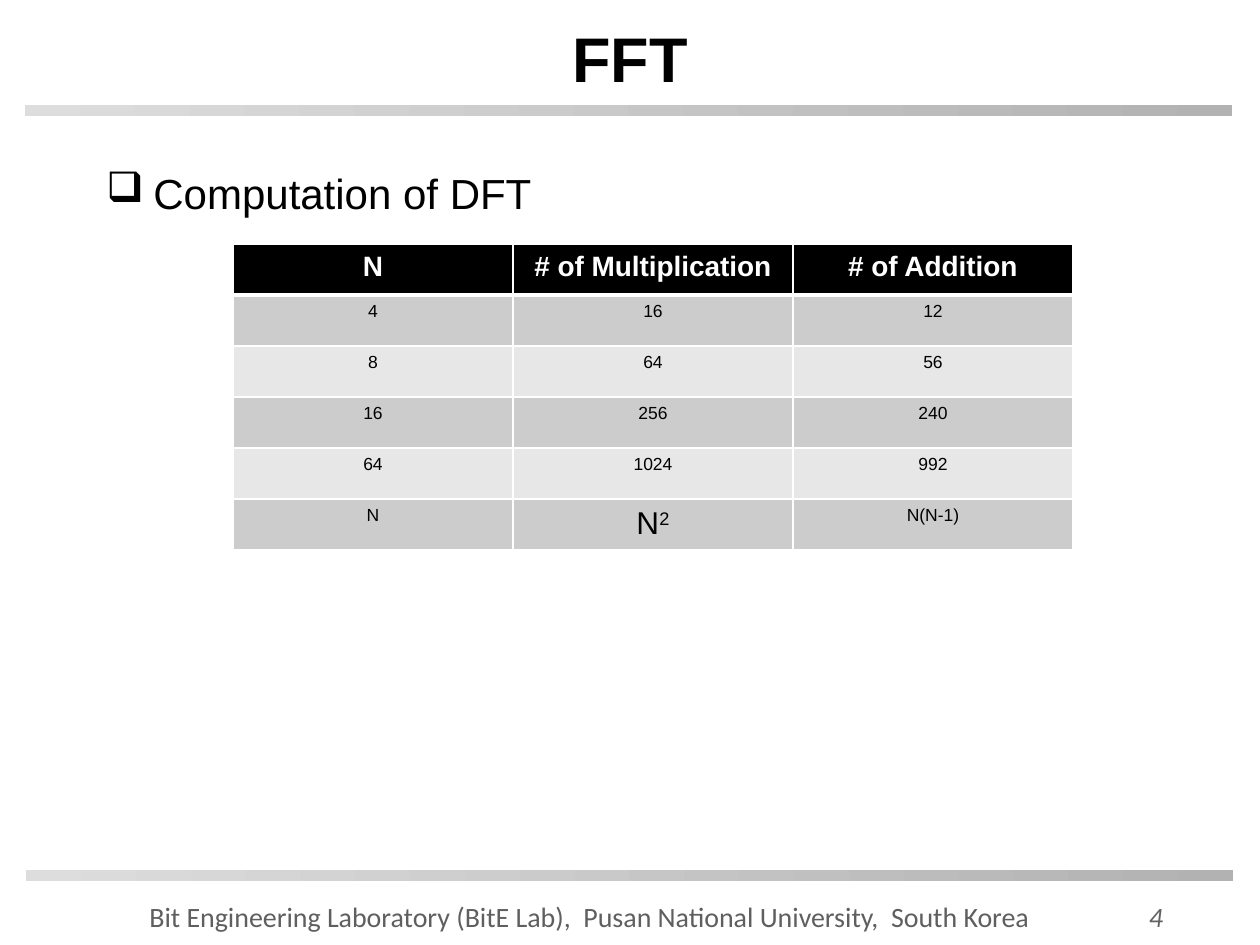
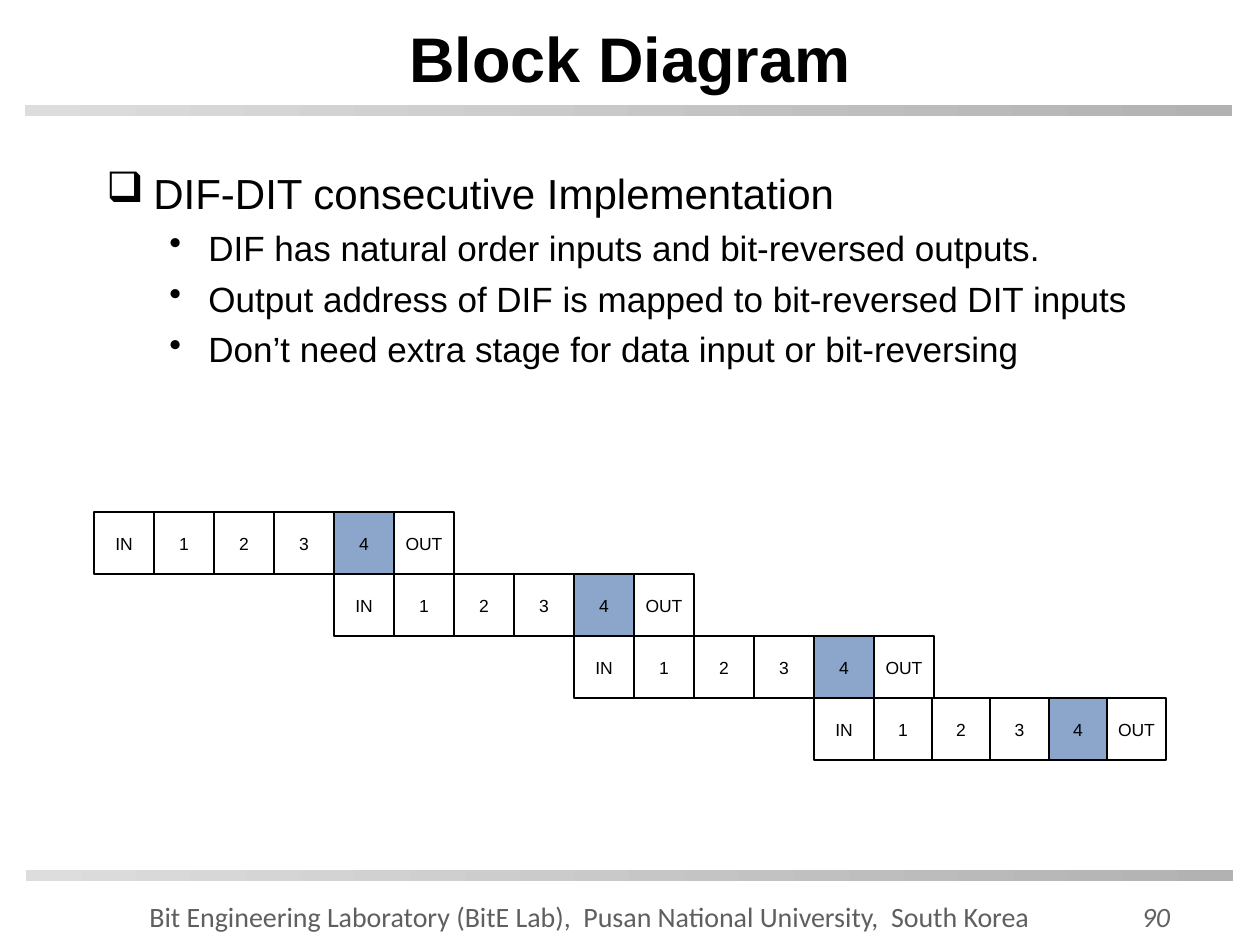
from dataclasses import dataclass
from lxml.etree import SubElement
from pptx import Presentation
from pptx.dml.color import RGBColor
from pptx.enum.shapes import MSO_SHAPE
from pptx.enum.text import MSO_ANCHOR, PP_ALIGN
from pptx.oxml.ns import qn
from pptx.util import Emu, Pt


@dataclass(frozen=True)
class Theme:
    black: str = "000000"
    white: str = "FFFFFF"
    band_start: str = "DDDDDD"
    band_end: str = "B2B2B2"
    footer: str = "5F5F5F"
    number: str = "626262"
    row_dark: str = "CCCCCC"
    row_light: str = "E7E7E7"
    overlap: str = "8BA5CB"
    font: str = "Arial"
    footer_font: str = "Calibri"
    title_size: int = 36
    body_size: int = 24
    sub_size: int = 20
    formula_size: int = 18
    footer_size: int = 16
    head_size: int = 16
    small_size: int = 10


theme = Theme()


def px(n):
    return Emu(round(n * 914400 / 126))


def write(p, text, size, color=theme.black, font=theme.font, bold=False, italic=False):
    r = p.add_run()
    r.text = text
    r.font.size = Pt(size)
    r.font.name = font
    r.font.bold = bold
    r.font.italic = italic
    r.font.color.rgb = RGBColor.from_string(color)
    return r


prs = Presentation()
prs.slide_width, prs.slide_height = px(1260), px(945)

pages = [
    ("FFT", "4", ["Computation of DFT"]),
    ("Block Diagram", "90", [
        "DIF-DIT consecutive Implementation",
        "DIF has natural order inputs and bit-reversed outputs.",
        "Output address of DIF is mapped to bit-reversed DIT inputs",
        "Don’t need extra stage for data input or bit-reversing",
    ]),
]
footer = "Bit Engineering Laboratory (BitE Lab),  Pusan National University,  South Korea"

for title, number, lines in pages:
    s = prs.slides.add_slide(prs.slide_layouts[6])
    for x, y in [(26, 870), (25, 105)]:
        sp = s.shapes.add_shape(MSO_SHAPE.RECTANGLE, px(x), px(y), px(1207), px(11))
        sp.shadow.inherit = False
        sp.line.fill.background()
        sp.fill.gradient()
        sp.fill.gradient_angle = 0
        for stop, color in zip(sp.fill.gradient_stops, (theme.band_start, theme.band_end)):
            stop.color.rgb = RGBColor.from_string(color)

    for x, y, w, h, text, color, align in [
        (137, 892, 917, 48, footer, theme.footer, PP_ALIGN.LEFT),
        (1079, 893, 154, 46, number, theme.number, PP_ALIGN.CENTER),
    ]:
        tf = s.shapes.add_textbox(px(x), px(y), px(w), px(h)).text_frame
        tf.word_wrap = True
        tf.vertical_anchor = MSO_ANCHOR.MIDDLE
        tf.margin_top = px(6) + Pt(theme.footer_size / 2)
        p = tf.paragraphs[0]
        p.alignment = align
        p.line_spacing = 0.5
        write(p, text, theme.footer_size, color, theme.footer_font, italic=text == number)

    tf = s.shapes.add_textbox(px(42), px(8), px(1176), px(98)).text_frame
    tf.word_wrap = True
    tf.vertical_anchor = MSO_ANCHOR.MIDDLE
    p = tf.paragraphs[0]
    p.alignment = PP_ALIGN.CENTER
    write(p, title, theme.title_size, bold=True)

    tf = s.shapes.add_textbox(px(94), px(161), px(1072), px(657)).text_frame
    tf.word_wrap = True
    for i, line in enumerate(lines):
        p = tf.paragraphs[0] if i == 0 else tf.add_paragraph()
        left, hang, mark, size = (102, 39, "•", theme.sub_size) if i else (47, 47, "❑", theme.body_size)
        pPr = p._p.get_or_add_pPr()
        pPr.set("marL", str(px(left)))
        pPr.set("indent", str(px(-hang)))
        SubElement(pPr, qn("a:buChar")).set("char", mark)
        if i:
            p.level = 1
            p.space_before = Pt(5)
        write(p, line, size)

fft, diagram = prs.slides

costs = [
    ["N", "# of Multiplication", "# of Addition"],
    ["4", "16", "12"],
    ["8", "64", "56"],
    ["16", "256", "240"],
    ["64", "1024", "992"],
    ["N", "N²", "N(N-1)"],
]
table = fft.shapes.add_table(6, 3, px(233), px(244), px(840), px(306)).table
for col in table.columns:
    col.width = px(280)
for i, row in enumerate(costs):
    table.rows[i].height = px(51)
    for j, text in enumerate(row):
        cell = table.cell(i, j)
        size = theme.head_size if i == 0 else theme.small_size
        fill = theme.black if i == 0 else theme.row_dark if i % 2 else theme.row_light
        power = text.endswith("²")
        if power:
            size = theme.formula_size
        cell.margin_top = px(6) + Pt(size / 2)
        p = cell.text_frame.paragraphs[0]
        p.alignment = PP_ALIGN.CENTER
        p.line_spacing = 0.5
        write(p, text.rstrip("²"), size, theme.black if i else theme.white, bold=i == 0)
        if power:
            r = write(p, "2", size)
            r.font._element.set("baseline", "30000")
        tcPr = cell._tc.get_or_add_tcPr()
        for side in ("lnL", "lnR", "lnT", "lnB"):
            thick = (i, side) in [(0, "lnB"), (1, "lnT")]
            ln = SubElement(tcPr, qn("a:" + side), w=str(Pt(3 if thick else 1)))
            SubElement(SubElement(ln, qn("a:solidFill")), qn("a:srgbClr")).set("val", theme.white)
        cell.fill.solid()
        cell.fill.fore_color.rgb = RGBColor.from_string(fill)

stages = ["IN", "1", "2", "3", "4", "OUT"]
even_widths = [60] * 6
last_widths = [60, 58, 58, 59, 58, 59]
for i, widths in enumerate([even_widths] * 3 + [last_widths]):
    group = diagram.shapes.add_group_shape()
    x = 94 + 240 * i
    for stage, w in zip(stages, widths):
        sp = group.shapes.add_shape(MSO_SHAPE.RECTANGLE, px(x), px(512 + 62 * i), px(w), px(62))
        sp.shadow.inherit = False
        sp.line.color.rgb = RGBColor.from_string(theme.black)
        sp.line.width = Pt(0.75)
        if stage == "4":
            sp.fill.solid()
            sp.fill.fore_color.rgb = RGBColor.from_string(theme.overlap)
        else:
            sp.fill.background()
        tf = sp.text_frame
        tf.word_wrap = False
        tf.vertical_anchor = MSO_ANCHOR.MIDDLE
        tf.margin_top = px(6) + Pt(theme.small_size / 2)
        p = tf.paragraphs[0]
        p.alignment = PP_ALIGN.CENTER
        p.line_spacing = 0.5
        write(p, stage, theme.small_size)
        x += w

prs.save("out.pptx")
